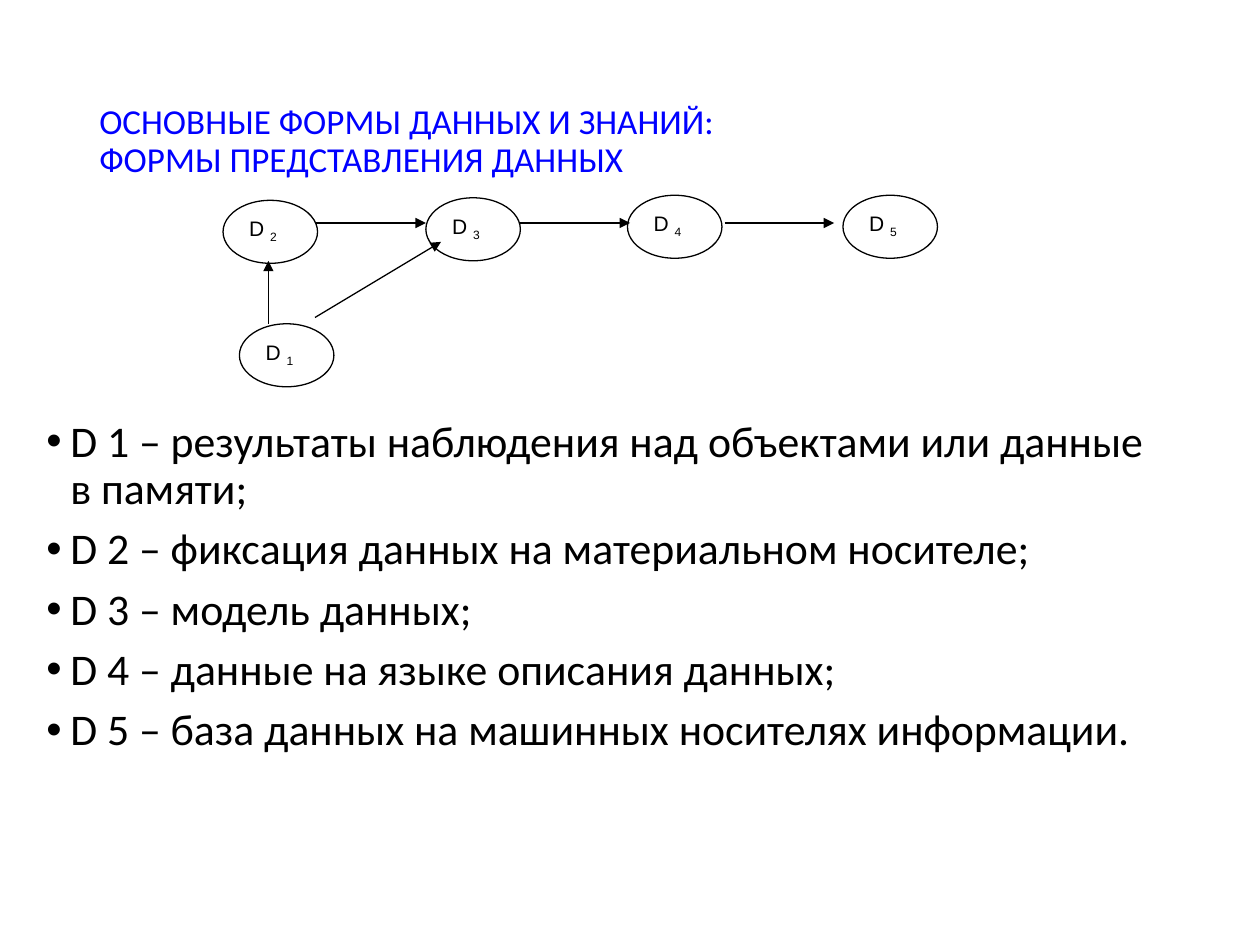
from lxml import etree
from pptx import Presentation
from pptx.dml.color import RGBColor
from pptx.enum import shapes, text
from pptx.oxml import ns
from pptx.util import Inches, Pt

theme = {
    "ink": RGBColor(0, 0, 0),
    "paper": RGBColor(255, 255, 255),
    "heading": RGBColor(0, 0, 255),
    "title": Pt(20),
    "body": Pt(25),
    "node": Pt(12),
    "line": Pt(0.75),
    "font": "Calibri",
    "node_font": "Arial",
}

deck = Presentation()
deck.slide_width, deck.slide_height = Inches(10), Inches(7.5)
page = deck.slides.add_slide(deck.slide_layouts[6])
column, row = deck.slide_width / 100, deck.slide_height / 75


def place(*cells):
    return [round(cell * size) for cell, size in zip(cells, (column, row) * 2)]


def write(para, words, **style):
    span = para.add_run()
    span.text = words
    color = style.pop("color")
    for key, value in style.items():
        setattr(span.font, key, value)
    span.font.color.rgb = color
    return span


title_style = {"name": theme["font"], "size": theme["title"], "color": theme["heading"]}
body_style = {"name": theme["font"], "size": theme["body"], "color": theme["ink"]}
node_style = {"name": theme["node_font"], "size": theme["node"], "color": theme["ink"]}

title = page.shapes.add_textbox(*place(6.9, 4, 86.3, 14.5)).text_frame
title.word_wrap = True
title.vertical_anchor = text.MSO_ANCHOR.MIDDLE
para = title.paragraphs[0]
para.line_spacing = 0.9
write(para, "ОСНОВНЫЕ ФОРМЫ ДАННЫХ И ЗНАНИЙ:", **title_style)
para.add_line_break()
write(para, "ФОРМЫ ПРЕДСТАВЛЕНИЯ ДАННЫХ", **title_style)

forms = [
    "результаты наблюдения над объектами или данные в памяти;",
    "фиксация данных на материальном носителе;",
    "модель данных;",
    "данные на языке описания данных;",
    "база данных на машинных носителях информации.",
]
body = page.shapes.add_textbox(*place(2.7, 32.8, 90, 29.1)).text_frame
body.word_wrap = True
indent = round(1.9 * column)
for number, form in enumerate(forms, 1):
    para = body.paragraphs[0] if number == 1 else body.add_paragraph()
    layout = para._p.get_or_add_pPr()
    layout.set("marL", str(indent))
    layout.set("indent", str(-indent))
    etree.SubElement(layout, ns.qn("a:buFont")).set("typeface", "Arial")
    etree.SubElement(layout, ns.qn("a:buChar")).set("char", "•")
    para.line_spacing = 0.9
    para.space_before = Pt(7.5 if number > 1 else 0)
    write(para, f"D {number} – {form}", **body_style)

nodes = {2: (17.7, 15.9), 3: (33.8, 15.7), 4: (49.8, 15.5), 5: (66.9, 15.5), 1: (19, 25.7)}
for number, corner in nodes.items():
    node = page.shapes.add_shape(shapes.MSO_SHAPE.OVAL, *place(*corner, 7.5, 5))
    node.shadow.inherit = False
    node.fill.solid()
    node.fill.fore_color.rgb = theme["paper"]
    node.line.color.rgb = theme["ink"]
    node.line.width = theme["line"]
    node.text_frame.word_wrap = True
    node.text_frame.vertical_anchor = text.MSO_ANCHOR.TOP
    para = node.text_frame.paragraphs[0]
    para.alignment = text.PP_ALIGN.LEFT
    write(para, "D ", **node_style)
    index = write(para, str(number), **node_style)
    index.font._element.set("baseline", "-25000")

arrows = [
    (21.3, 25.7, 21.3, 20.7),
    (25, 17.7, 33.8, 17.7),
    (41.3, 17.7, 50, 17.7),
    (57.5, 17.7, 66.2, 17.7),
    (25, 25.2, 35, 19.2),
]
for ends in arrows:
    arrow = page.shapes.add_connector(shapes.MSO_CONNECTOR.STRAIGHT, *place(*ends))
    arrow.line.color.rgb = theme["ink"]
    arrow.line.width = theme["line"]
    etree.SubElement(arrow.line._get_or_add_ln(), ns.qn("a:tailEnd")).set("type", "triangle")
    etree.SubElement(arrow._element.spPr, ns.qn("a:effectLst"))

deck.save("out.pptx")
